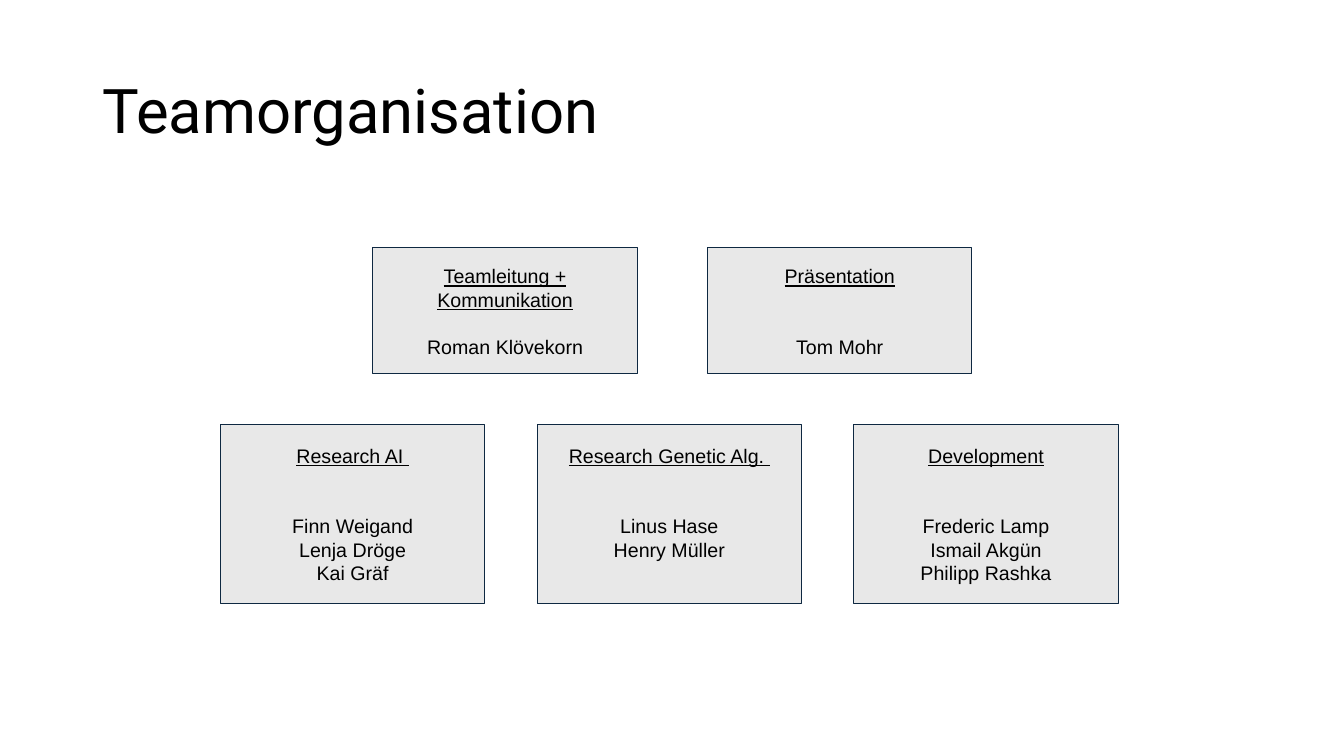
from dataclasses import dataclass
from typing import Any

from pptx import Presentation as Deck
from pptx.dml.color import RGBColor as Rgb
from pptx.enum.shapes import MSO_SHAPE as Form
from pptx.enum.text import MSO_ANCHOR as Anchor, PP_ALIGN as Align
from pptx.slide import Slide
from pptx.util import Pt

HEX = {"text": "000000", "fill": "E8E8E8", "line": "0E2841"}
WIDTH = 188.9
LINE = 16.7

HEAD = {"name": "Roboto", "size": Pt(44)}
ROLE = {"name": "Arial", "size": Pt(14), "underline": True}
NAME = {**ROLE, "underline": False}
INSET = {f"margin_{side}": Pt(7.2) for side in ("left", "right", "bottom")}
FRAME = {**INSET, "word_wrap": True, "vertical_anchor": Anchor.TOP}


@dataclass
class Team:
    role: str
    names: list[str]
    gap: int = 2  # free lines between role and names


@dataclass
class Row:
    left: float
    top: float
    height: float
    step: float
    inset: float
    teams: list[Team]


ROWS = [
    Row(266.4, 177.1, 90, 239, 11.6, [
        Team("Teamleitung + Kommunikation", ["Roman Klövekorn"], gap=1),
        Team("Präsentation", ["Tom Mohr"]),
    ]),
    Row(157.5, 303.1, 128.2, 226.2, 14, [
        Team("Research AI ", ["Finn Weigand", "Lenja Dröge", "Kai Gräf"]),
        Team("Research Genetic Alg. ", ["Linus Hase", "Henry Müller"]),
        Team("Development", ["Frederic Lamp", "Ismail Akgün", "Philipp Rashka"]),
    ]),
]


def apply(target: Any, style: dict[str, Any]) -> None:
    for key, value in style.items():
        setattr(target, key, value)


def write(para: Any, text: str, style: dict[str, Any]) -> None:
    run = para.add_run()
    run.text = text
    apply(run.font, style)
    run.font.color.rgb = Rgb.from_string(HEX["text"])


def add_title(slide: Slide, text: str) -> None:
    title = slide.shapes.title
    apply(title, {"left": Pt(66), "top": Pt(28.8),
                  "width": Pt(828), "height": Pt(104.4)})
    title.text_frame.vertical_anchor = Anchor.MIDDLE
    para = title.text_frame.paragraphs[0]
    apply(para, {"alignment": Align.LEFT, "line_spacing": 0.9})
    write(para, text, HEAD)


def add_team(slide: Slide, team: Team, row: Row, left: float) -> None:
    box = slide.shapes.add_shape(
        Form.RECTANGLE, Pt(left), Pt(row.top), Pt(WIDTH), Pt(row.height))
    box.shadow.inherit = False
    box.fill.solid()
    box.fill.fore_color.rgb = Rgb.from_string(HEX["fill"])
    box.line.color.rgb = Rgb.from_string(HEX["line"])
    box.line.width = Pt(0.75)

    frame = box.text_frame
    apply(frame, {**FRAME, "margin_top": Pt(row.inset)})
    para = frame.paragraphs[0]
    para.alignment = Align.CENTER
    write(para, team.role, ROLE)
    for i, name in enumerate(team.names):
        para = frame.add_paragraph()
        apply(para, {"alignment": Align.CENTER,
                     "space_before": Pt(0 if i else team.gap * LINE)})
        write(para, name, NAME)


def main() -> None:
    deck = Deck()
    apply(deck, {"slide_width": Pt(960), "slide_height": Pt(540)})
    slide = deck.slides.add_slide(deck.slide_layouts[5])
    add_title(slide, "Teamorganisation")
    for row in ROWS:
        for i, team in enumerate(row.teams):
            add_team(slide, team, row, row.left + i * row.step)
    deck.save("out.pptx")


if __name__ == "__main__":
    main()
